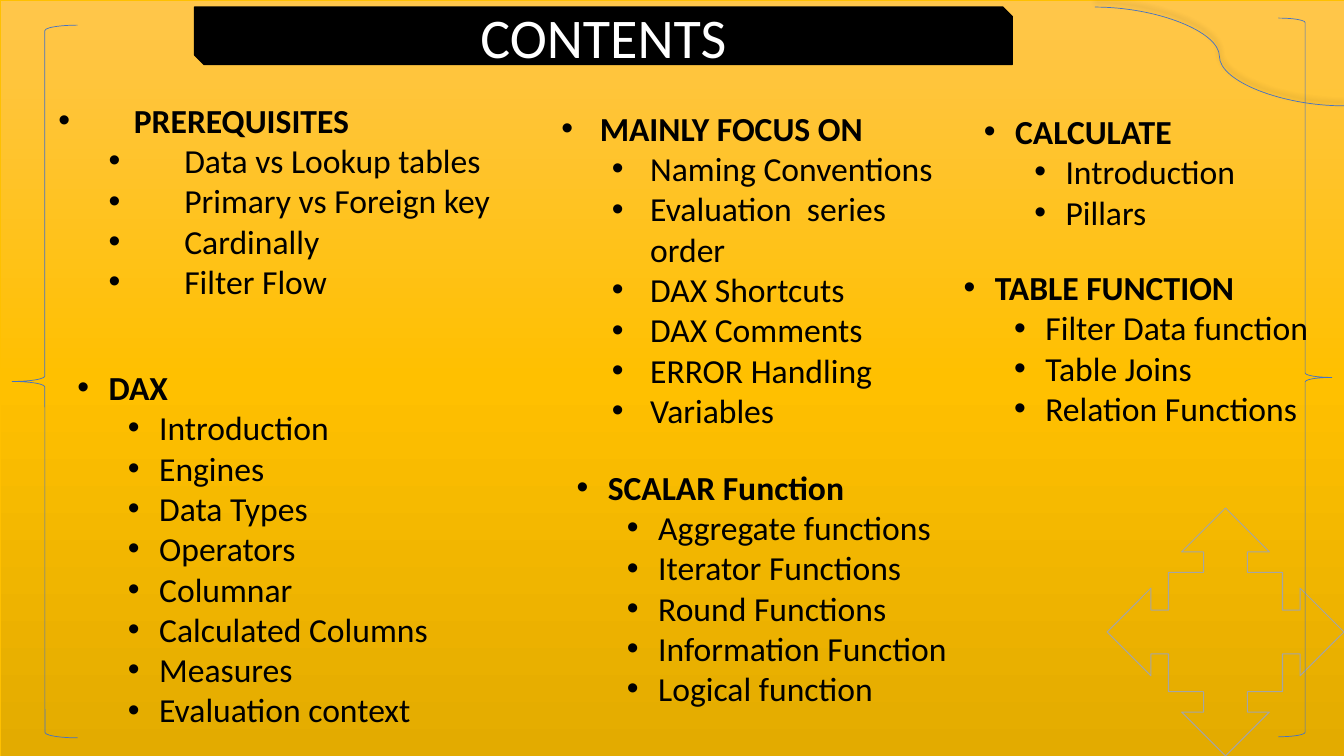
from copy import deepcopy

from lxml import etree
from pptx import Presentation
from pptx.dml.color import RGBColor
from pptx.enum.shapes import MSO_CONNECTOR as Connector, MSO_SHAPE as Shape
from pptx.enum.text import MSO_ANCHOR as Anchor, MSO_AUTO_SIZE as AutoSize, PP_ALIGN as Align
from pptx.oxml.ns import qn
from pptx.util import Inches, Pt

BLACK = RGBColor(0x00, 0x00, 0x00)
WHITE = RGBColor(0xFF, 0xFF, 0xFF)
BLUE = RGBColor(0x44, 0x72, 0xC4)
GREY = RGBColor(0xA5, 0xA5, 0xA5)
GOLD = RGBColor(0xFF, 0xC0, 0x00)
LIGHT_GOLD = RGBColor(0xFF, 0xC6, 0x4B)
DARK_GOLD = RGBColor(0xE3, 0xAB, 0x00)

WIDTH, HEIGHT = 13.33, 7.5
SUBITEM_STEP = 0.5

# Box, hanging indent, heading, items
TOPICS = [
    ((0.48, 0.94, 4.8, 2.93), 0.75, "PREREQUISITES",
     ["Data vs Lookup tables", "Primary vs Foreign key", "Cardinally", "Filter Flow"]),
    ((0.67, 3.59, 4.68, 3.74), 0.31, "DAX",
     ["Introduction", "Engines", "Data Types", "Operators", "Columnar",
      "Calculated Columns", "Measures", "Evaluation context"]),
    ((5.47, 1.02, 3.89, 3.33), 0.38, "MAINLY FOCUS ON",
     ["Naming Conventions", "Evaluation  series order", "DAX Shortcuts",
      "DAX Comments", "ERROR Handling", "Variables"]),
    ((9.46, 2.6, 4.42, 1.72), 0.31, "TABLE FUNCTION",
     ["Filter Data function", "Table Joins", "Relation Functions"]),
    ((9.66, 1.05, 3.02, 1.31), 0.31, "CALCULATE", ["Introduction", "Pillars"]),
    ((5.62, 4.58, 4.42, 2.52), 0.31, "SCALAR Function",
     ["Aggregate functions", "Iterator Functions", "Round Functions",
      "Information Function", "Logical function"]),
]


def format_font(font, color, **values):
    font.color.rgb = color
    for name, value in {"name": "Calibri", **values}.items():
        setattr(font, name, value)


def add_outline(page, kind, box, color, weight):
    """Add an unfilled preset shape with a coloured line."""
    shape = page.shapes.add_shape(kind, *map(Inches, box))
    shape.shadow.inherit = False
    shape.fill.background()
    shape.line.color.rgb = color
    shape.line.width = Pt(weight)
    return shape


def add_backdrop(page, box):
    backdrop = add_outline(page, Shape.RECTANGLE, box, GOLD, 0.5)
    fill = backdrop.fill
    fill.gradient()
    fill.gradient_angle = 270
    stop_list = next(backdrop._element.spPr.iter(qn("a:gsLst")))
    stop_list.append(deepcopy(stop_list[-1]))
    colors = [LIGHT_GOLD, GOLD, DARK_GOLD]
    for index, (stop, color) in enumerate(zip(fill.gradient_stops, colors)):
        stop.position = index / 2
        stop.color.rgb = color


def add_bullet(para, margin, hanging):
    properties = para._p.get_or_add_pPr()
    properties.set("marL", str(Inches(margin)))
    properties.set("indent", str(-Inches(hanging)))
    etree.SubElement(properties, qn("a:buFont"), typeface="Arial")
    etree.SubElement(properties, qn("a:buChar"), char="•")


def add_topic(page, box, hanging, heading, items):
    frame = page.shapes.add_textbox(*map(Inches, box)).text_frame
    frame.word_wrap = True
    frame.auto_size = AutoSize.SHAPE_TO_FIT_TEXT
    for index, text in enumerate([heading, *items]):
        para = frame.add_paragraph() if index else frame.paragraphs[0]
        para.level = min(index, 1)
        add_bullet(para, hanging + SUBITEM_STEP * para.level, hanging)
        span = para.add_run()
        span.text = text
        format_font(span.font, BLACK, size=Pt(24), bold=index == 0)


def add_title(page, box):
    banner = add_outline(page, Shape.SNIP_2_DIAG_RECTANGLE, box, BLACK, 1)
    banner.fill.solid()
    banner.fill.fore_color.rgb = BLACK
    frame = banner.text_frame
    frame.vertical_anchor = Anchor.MIDDLE
    para = frame.paragraphs[0]
    para.alignment = Align.CENTER
    span = para.add_run()
    span.text = "CONTENTS"
    format_font(span.font, WHITE, size=Pt(40))


def add_corner_curve(page, box):
    left, top, width, height = box
    ends = (left, top, left + width, top + height)
    curve = page.shapes.add_connector(Connector.CURVE, *map(Inches, ends))
    curve.line.color.rgb = BLUE
    curve.line.width = Pt(0.5)
    effects = etree.SubElement(curve._element.spPr, qn("a:effectLst"))
    shadow = etree.SubElement(effects, qn("a:outerShdw"), blurRad=str(Pt(4)),
                              dist=str(Pt(3)), dir=str(270 * 60000), rotWithShape="0")
    color = etree.SubElement(shadow, qn("a:srgbClr"), val=str(BLACK))
    etree.SubElement(color, qn("a:alpha"), val="40000")


def add_contents_page(deck):
    page = deck.slides.add_slide(deck.slide_layouts[6])
    add_backdrop(page, (0, 0, WIDTH, HEIGHT))
    add_outline(page, Shape.QUAD_ARROW_CALLOUT, (10.98, 5.04, 2.35, 2.46), GREY, 0.75)
    add_outline(page, Shape.LEFT_BRACE, (0.12, 0.25, 0.65, 7.07), BLUE, 0.5)
    add_outline(page, Shape.RIGHT_BRACE, (12.68, 0.18, 0.53, 7.13), BLUE, 0.5)
    for topic in TOPICS:
        add_topic(page, *topic)
    add_title(page, (1.93, 0.07, 8.11, 0.57))
    add_corner_curve(page, (10.86, 0.07, 2.47, 0.98))


def main():
    deck = Presentation()
    deck.slide_width, deck.slide_height = Inches(WIDTH), Inches(HEIGHT)
    add_contents_page(deck)
    deck.save("out.pptx")


if __name__ == "__main__":
    main()
